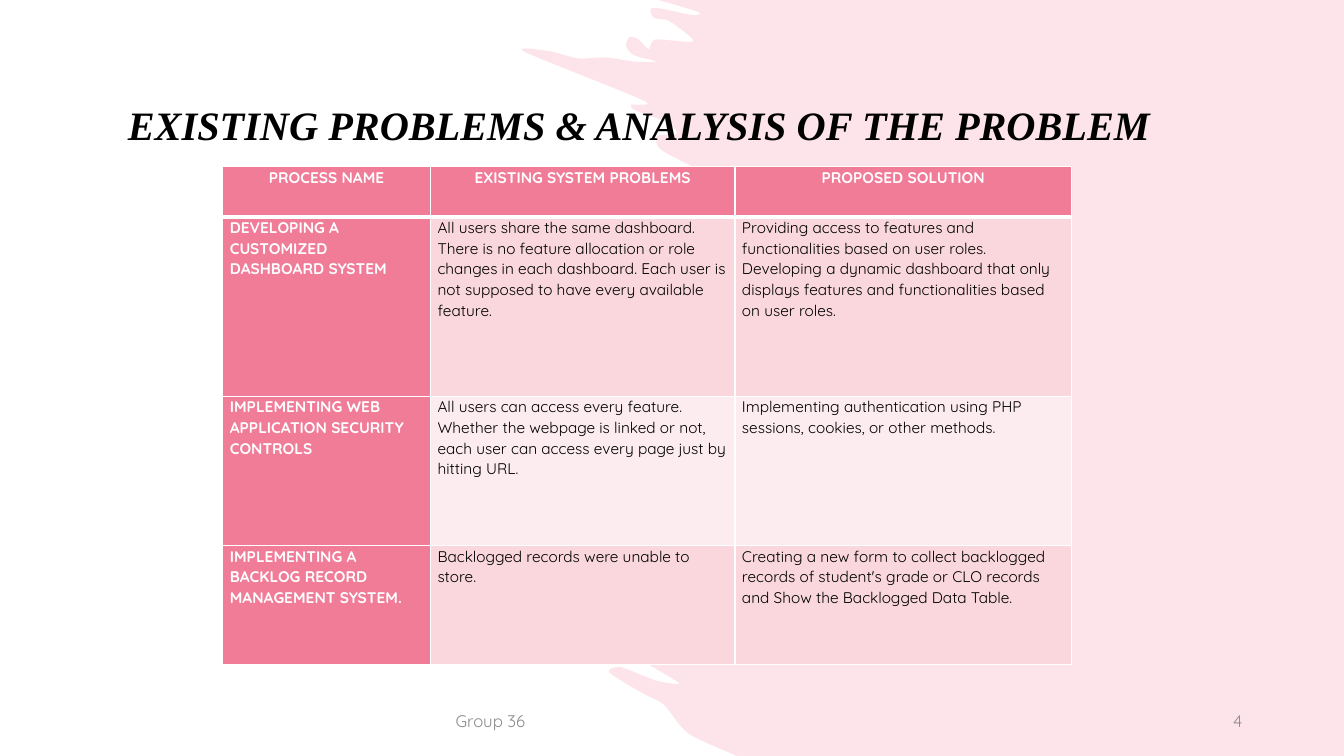
from lxml.etree import SubElement
from pptx import Presentation
from pptx.dml.color import RGBColor
from pptx.enum.text import MSO_ANCHOR as Anchor, PP_ALIGN as Align
from pptx.oxml.ns import qn
from pptx.util import Pt

PX = 9144
COLORS = {"rose": "F07C98", "band_dark": "F9D7DD", "band_light": "FCECEF",
          "white": "FFFFFF", "black": "000000", "grey": "8C8C8C"}
BODY_FONT = "Quicksand"
TITLE_FONT = "Times New Roman"
COLUMN_WIDTHS = [206, 302, 334]
ROW_HEIGHTS = [50, 178, 148, 118]
ROWS = [
    ["PROCESS NAME", "EXISTING SYSTEM PROBLEMS", "PROPOSED SOLUTION"],
    ["DEVELOPING A CUSTOMIZED DASHBOARD SYSTEM",
     "All users share the same dashboard. There is no feature allocation or role changes in each "
     "dashboard. Each user is not supposed to have every available feature.",
     "Providing access to features and functionalities based on user roles. Developing a dynamic "
     "dashboard that only displays features and functionalities based on user roles."],
    ["IMPLEMENTING WEB APPLICATION SECURITY CONTROLS",
     "All users can access every feature. Whether the webpage is linked or not, each user can "
     "access every page just by hitting URL.",
     "Implementing authentication using PHP sessions, cookies, or other methods."],
    ["IMPLEMENTING A BACKLOG RECORD MANAGEMENT SYSTEM.",
     "Backlogged records were unable to store.",
     "Creating a new form to collect backlogged records of student's grade or CLO records and "
     "Show the Backlogged Data Table."],
]
SPLASH_EDGE = [
    (730, 750), (682, 728), (661, 703), (653, 696), (635, 687), (603, 667), (615, 662),
    (649, 675), (673, 678), (639, 657), (605, 629), (549, 546), (518, 503), (573, 456),
    (556, 371), (539, 322), (597, 294), (702, 275), (573, 207), (722, 242), (684, 181),
    (703, 175), (655, 149), (651, 135), (670, 133), (662, 122), (630, 110), (625, 104),
    (638, 100), (518, 51), (545, 51), (572, 58), (600, 57), (627, 61), (650, 61),
    (628, 55), (620, 46), (623, 37), (632, 39), (642, 49), (645, 43), (651, 39),
    (687, 41), (663, 21), (648, 18), (644, 10), (651, 8), (686, 15), (692, 12), (652, 0),
]


def rgb(name):
    """Return the named colour."""
    return RGBColor.from_string(COLORS[name])


def scaled(*lengths):
    """Turn px lengths into EMU."""
    return [round(length * PX) for length in lengths]


def style_paragraph(paragraph, size, color, font=BODY_FONT, bold=False, italic=False):
    """Format every run of a paragraph."""
    for run in paragraph.runs:
        run.font.size = Pt(size)
        run.font.name = font
        run.font.bold = bold
        run.font.italic = italic
        run.font.color.rgb = rgb(color)


def smooth(points, steps=5):
    """Sample a gently rounded line through the points."""
    padded = [points[0], *points, points[-1]]
    for before, start, end, after in zip(padded, padded[1:], padded[2:], padded[3:]):
        for step in range(steps):
            t = step / steps
            weights = [(1 - t) ** 3, 3 * t * (1 - t) ** 2, 3 * t * t * (1 - t), t ** 3]
            yield tuple(
                sum(w * c for w, c in zip(weights, (s, s + (e - b) / 8, e - (a - s) / 8, e)))
                for b, s, e, a in zip(before, start, end, after))
    yield points[-1]


def add_splash(slide, box):
    """Fill the box with the translucent paint splash."""
    left, top, width, height = box
    right, bottom = left + width, top + height
    points = [(right, top), (right, bottom), *smooth(SPLASH_EDGE)]
    builder = slide.shapes.build_freeform(*scaled(*points[0]))
    builder.add_line_segments([scaled(*point) for point in points[1:]])
    shape = builder.convert_to_shape()
    shape.left, shape.top, shape.width, shape.height = scaled(*box)
    shape.shadow.inherit = False
    shape.line.fill.background()
    shape.fill.solid()
    shape.fill.fore_color.rgb = rgb("rose")
    color = shape.element.spPr.find(qn("a:solidFill"))[0]
    SubElement(color, qn("a:alpha"), val="20000")


def add_label(slide, box, text, anchor=Anchor.MIDDLE, align=Align.LEFT):
    """Place a one-line text box and return its paragraph."""
    frame = slide.shapes.add_textbox(*scaled(*box)).text_frame
    frame.word_wrap = True
    frame.vertical_anchor = anchor
    frame.text = text
    paragraph = frame.paragraphs[0]
    paragraph.alignment = align
    return paragraph


def add_title(slide, box):
    """Place the slide title at the bottom of the box."""
    paragraph = add_label(slide, box, "EXISTING PROBLEMS & ANALYSIS OF THE PROBLEM", Anchor.BOTTOM)
    paragraph.line_spacing = 0.9
    paragraph.space_after = Pt(3)
    style_paragraph(paragraph, 28.8, "black", TITLE_FONT, bold=True, italic=True)


def add_footer(slide, box):
    """Place the group name and the slide number in the footer band."""
    left, top, width, height = box
    group = add_label(slide, (left, top, 450, height), "Group 36")
    number = add_label(slide, (left + width - 300, top, 300, height), "4", align=Align.RIGHT)
    number.space_after = Pt(6)
    for paragraph in (group, number):
        style_paragraph(paragraph, 12, "grey")


def add_borders(cell, bottom):
    """Draw white cell borders, with the given bottom width in points."""
    for side, width in (("lnL", 1), ("lnR", 1), ("lnT", 1), ("lnB", bottom)):
        line = SubElement(cell._tc.get_or_add_tcPr(), qn(f"a:{side}"), w=str(Pt(width)))
        fill = SubElement(line, qn("a:solidFill"))
        SubElement(fill, qn("a:srgbClr"), val=COLORS["white"])


def fill_cell(cell, text, row, column):
    """Write and format one table cell."""
    heading = row == 0 or column == 0
    band = "band_dark" if row % 2 else "band_light"
    cell.margin_left = cell.margin_right = 7 * PX
    cell.margin_top = cell.margin_bottom = 0
    add_borders(cell, 3 if row == 0 else 1)
    cell.fill.solid()
    cell.fill.fore_color.rgb = rgb("rose" if heading else band)
    cell.text_frame.text = text
    paragraph = cell.text_frame.paragraphs[0]
    paragraph.line_spacing = 1.07
    paragraph.alignment = Align.CENTER if row == 0 else Align.LEFT
    style_paragraph(paragraph, 11, "white" if heading else "black", bold=heading)


def add_problem_table(slide, box):
    """Place the table of problems and solutions."""
    table = slide.shapes.add_table(len(ROWS), len(COLUMN_WIDTHS), *scaled(*box)).table
    for column, width in zip(table.columns, COLUMN_WIDTHS):
        column.width = width * PX
    for row, height in zip(table.rows, ROW_HEIGHTS):
        row.height = height * PX
    for row, texts in enumerate(ROWS):
        for column, text in enumerate(texts):
            fill_cell(table.cell(row, column), text, row, column)


def main():
    """Build and save the presentation."""
    presentation = Presentation()
    presentation.slide_width, presentation.slide_height = scaled(1333, 750)
    slide = presentation.slides.add_slide(presentation.slide_layouts[6])
    add_splash(slide, (517, 0, 816, 750))
    add_title(slide, (117, 91, 1076, 62))
    add_problem_table(slide, (221, 165, sum(COLUMN_WIDTHS), sum(ROW_HEIGHTS)))
    add_footer(slide, (442, 695, 800, 40))
    presentation.save("out.pptx")


if __name__ == "__main__":
    main()
